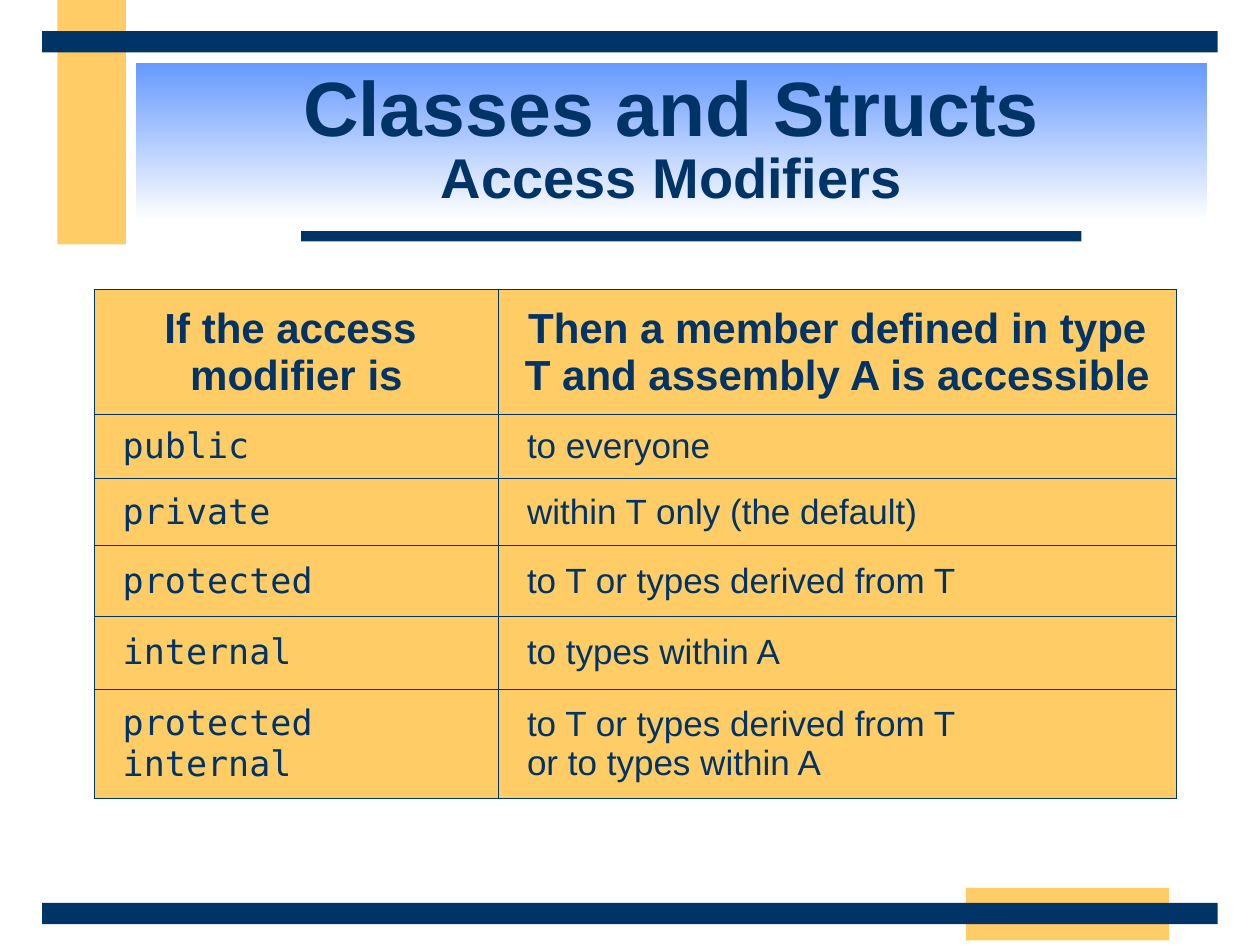
import dataclasses

import pptx
import pptx.dml.color
import pptx.enum.shapes
import pptx.enum.text
import pptx.oxml
import pptx.oxml.ns
import pptx.util

Cm = pptx.util.Cm
Pt = pptx.util.Pt
NAVY = "003366"
GOLD = "FFCC66"
SANS = "Arial"
MONO = "DejaVu Sans Mono"
CENTER = pptx.enum.text.PP_ALIGN.CENTER
MIDDLE = pptx.enum.text.MSO_ANCHOR.MIDDLE


@dataclasses.dataclass
class Bar:
    left: float
    top: float
    width: float
    height: float
    color: str


@dataclasses.dataclass
class Row:
    height: float
    modifier: str
    access: str


BARS = [
    Bar(1.16, 0, 1.38, 4.93, GOLD),
    Bar(19.47, 17.9, 4.1, 1.06, GOLD),
    Bar(6.07, 4.66, 15.73, 0.21, NAVY),
    Bar(0.85, 18.2, 23.7, 0.43, NAVY),
    Bar(0.85, 0.63, 23.7, 0.43, NAVY),
]
COLUMN_WIDTHS = [8.15, 13.66]
ROWS = [
    Row(2.52, "If the access \vmodifier is",
        "Then a member defined in type T and assembly A is accessible"),
    Row(1.29, "public", "to everyone"),
    Row(1.35, "private", "within T only (the default)"),
    Row(1.42, "protected", "to T or types derived from T"),
    Row(1.47, "internal", "to types within A"),
    Row(2.21, "protected internal",
        "to T or types derived from T\vor to types within A"),
]


def rgb(color: str) -> pptx.dml.color.RGBColor:
    return pptx.dml.color.RGBColor.from_string(color)


def set_font(font, name: str, size: float, bold: bool) -> None:
    font.name = name
    font.size = Pt(size)
    font.bold = bold
    font.color.rgb = rgb(NAVY)


def draw_bar(s, bar: Bar) -> None:
    sp = s.shapes.add_shape(
        pptx.enum.shapes.MSO_SHAPE.RECTANGLE,
        Cm(bar.left), Cm(bar.top), Cm(bar.width), Cm(bar.height))
    sp.shadow.inherit = False
    sp.fill.solid()
    sp.fill.fore_color.rgb = rgb(bar.color)
    sp.line.fill.background()


def draw_title(s) -> None:
    sp = s.shapes.title
    sp.left, sp.top, sp.width, sp.height = Cm(2.74), Cm(1.27), Cm(21.59), Cm(3.18)
    sp.fill.gradient()
    sp.fill.gradient_angle = 270
    for stop, color in zip(sp.fill.gradient_stops, ["6699FF", "FFFFFF"]):
        stop.color.rgb = rgb(color)
    tf = sp.text_frame
    tf.word_wrap = True
    tf.auto_size = pptx.enum.text.MSO_AUTO_SIZE.NONE
    tf.vertical_anchor = MIDDLE
    p = tf.paragraphs[0]
    p.alignment = CENTER
    p.line_spacing = 0.85
    r = p.add_run()
    r.text = "Classes and Structs"
    set_font(r.font, SANS, 44, True)
    p.add_line_break()
    r = p.add_run()
    r.text = "Access Modifiers"
    set_font(r.font, SANS, 32, True)


def set_borders(cell) -> None:
    tc_pr = cell._tc.get_or_add_tcPr()
    for side in ("lnL", "lnR", "lnT", "lnB"):
        tc_pr.append(pptx.oxml.parse_xml(
            f'<a:{side} {pptx.oxml.ns.nsdecls("a")} w="{Pt(0.45)}">'
            f'<a:solidFill><a:srgbClr val="{NAVY}"/></a:solidFill></a:{side}>'))


def fill_cell(cell, text: str, font_name: str, header: bool) -> None:
    set_borders(cell)
    cell.fill.solid()
    cell.fill.fore_color.rgb = rgb(GOLD)
    cell.vertical_anchor = MIDDLE
    p = cell.text_frame.paragraphs[0]
    p.text = text
    if header:
        p.alignment = CENTER
    else:
        p._p.get_or_add_pPr().set("marL", str(Cm(0.32)))
    set_font(p.font, font_name, 24 if header else 20, header)


def draw_table(s) -> None:
    table = s.shapes.add_table(
        len(ROWS), len(COLUMN_WIDTHS), Cm(1.9), Cm(5.84),
        Cm(sum(COLUMN_WIDTHS)), Cm(sum(row.height for row in ROWS))).table
    table.first_row = False
    table.horz_banding = False
    for column, width in zip(table.columns, COLUMN_WIDTHS):
        column.width = Cm(width)
    for i, row in enumerate(ROWS):
        header = i == 0
        table.rows[i].height = Cm(row.height)
        fill_cell(table.cell(i, 0), row.modifier, SANS if header else MONO, header)
        fill_cell(table.cell(i, 1), row.access, SANS, header)


def main() -> None:
    prs = pptx.Presentation()
    prs.slide_width, prs.slide_height = Cm(25.4), Cm(19.05)
    s = prs.slides.add_slide(prs.slide_layouts[5])
    for bar in BARS:
        draw_bar(s, bar)
    draw_title(s)
    draw_table(s)
    prs.save("out.pptx")


if __name__ == "__main__":
    main()
